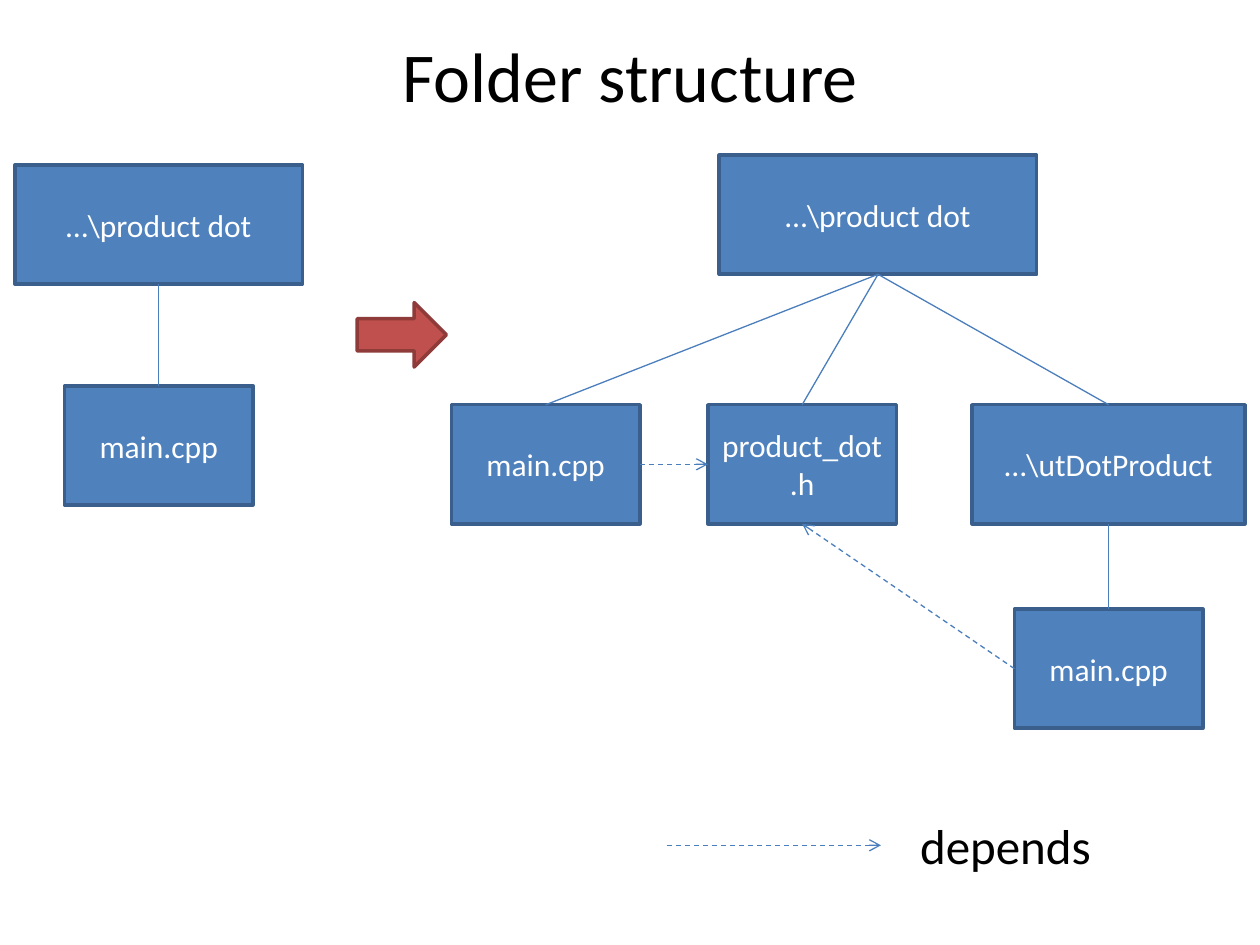
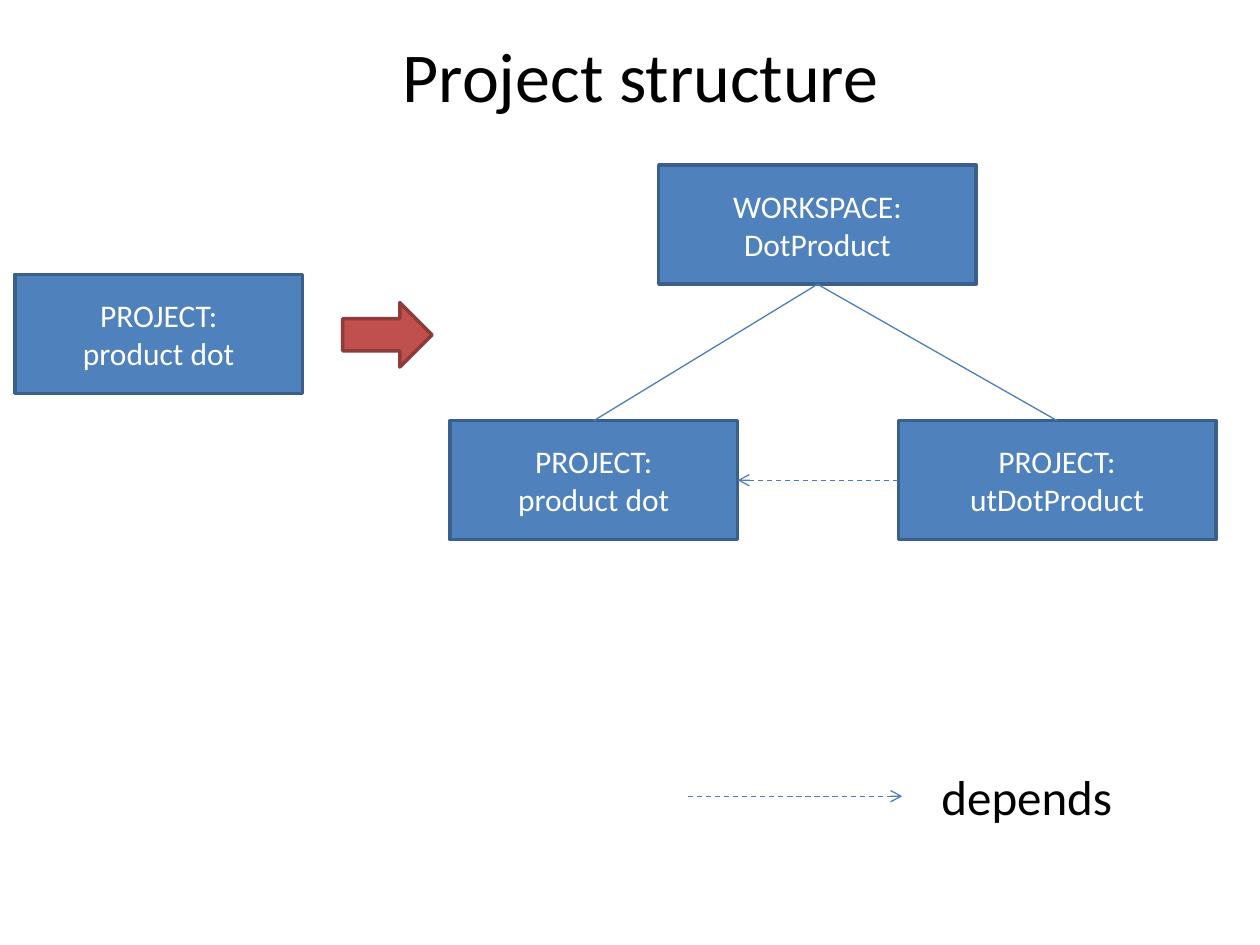
import dataclasses
import typing

import pptx
import pptx.dml.color
import pptx.enum.dml
import pptx.enum.shapes
import pptx.enum.text
import pptx.oxml
import pptx.oxml.ns
import pptx.shapes.autoshape
import pptx.shapes.connector
import pptx.slide
import pptx.util

Cm = pptx.util.Cm
Shape = pptx.shapes.autoshape.Shape
Kind = pptx.enum.shapes.MSO_SHAPE
Align = pptx.enum.text.PP_ALIGN


@dataclasses.dataclass(frozen=True)
class Theme:
    """Colours, font and sizes shared by the slides."""
    font: str = "Calibri"
    ink: str = "000000"
    pale: str = "FFFFFF"
    blue: str = "4F81BD"
    edge: str = "3A5F8C"
    link: str = "4B7EBC"
    red: str = "C0504D"
    rim: str = "8E3B39"
    title: float = 40
    label: float = 28
    body: float = 18
    frame: float = 2
    thin: float = 0.75


@dataclasses.dataclass(frozen=True)
class Box:
    """A labelled node, in centimetres; all nodes are equally high."""
    left: float
    top: float
    width: float
    lines: tuple[str, ...]


@dataclasses.dataclass(frozen=True)
class Link:
    """A line between two named boxes."""
    start: str
    end: str
    sides: tuple[int, int]
    needs: bool = False


@dataclasses.dataclass(frozen=True)
class Page:
    """All that one slide shows."""
    title: str
    width: float
    arrow: float
    key: tuple[float, float]
    boxes: dict[str, Box]
    links: tuple[Link, ...]


THEME = Theme()
HIGH = 2.4
SMALL, MID, WIDE = 3.8, 5.8, 6.4
TOP, LEFT, BASE, RIGHT = range(4)
DOWN = (BASE, TOP)
ROW = 8.16


def paint(hue: str) -> pptx.dml.color.RGBColor:
    """Turn a hex code into a colour."""
    return pptx.dml.color.RGBColor.from_string(hue)


def apply(item: typing.Any, form: dict[str, typing.Any]) -> None:
    """Set each format value on an object."""
    for name, value in form.items():
        setattr(item, name, value)


def write(shape: Shape, lines: tuple[str, ...], size: float, hue: str,
          align: Align) -> None:
    """Fill a shape with one paragraph per line."""
    frame = shape.text_frame
    frame.text = "\n".join(lines)
    for para in frame.paragraphs:
        para.alignment = align
        apply(para.runs[0].font,
              {"name": THEME.font, "size": pptx.util.Pt(size)})
        para.runs[0].font.color.rgb = paint(hue)


def add_form(slide: pptx.slide.Slide, kind: Kind, place: tuple[float, ...],
             fill: str, edge: str) -> Shape:
    """Draw a filled and outlined preset shape."""
    shape = slide.shapes.add_shape(kind, *map(Cm, place))
    shape.shadow.inherit = False
    shape.fill.solid()
    shape.fill.fore_color.rgb = paint(fill)
    shape.line.color.rgb = paint(edge)
    shape.line.width = pptx.util.Pt(THEME.frame)
    return shape


def add_box(slide: pptx.slide.Slide, box: Box) -> Shape:
    """Draw a node with its centred label."""
    place = (box.left, box.top, box.width, HIGH)
    shape = add_form(slide, Kind.RECTANGLE, place, THEME.blue, THEME.edge)
    apply(shape.text_frame, {
        "word_wrap": True,
        "vertical_anchor": pptx.enum.text.MSO_ANCHOR.MIDDLE,
    })
    write(shape, box.lines, THEME.body, THEME.pale, Align.CENTER)
    return shape


def add_text(slide: pptx.slide.Slide, place: tuple[float, ...], text: str,
             size: float) -> None:
    """Draw a line of free text."""
    shape = slide.shapes.add_textbox(*map(Cm, place))
    apply(shape.text_frame, {
        "word_wrap": False,
        "auto_size": pptx.enum.text.MSO_AUTO_SIZE.SHAPE_TO_FIT_TEXT,
    })
    write(shape, (text,), size, THEME.ink, Align.LEFT)


def add_line(slide: pptx.slide.Slide, ends: tuple[float, ...],
             needs: bool) -> pptx.shapes.connector.Connector:
    """Draw a plain line, or a dashed arrow for a dependency."""
    line = slide.shapes.add_connector(
        pptx.enum.shapes.MSO_CONNECTOR.STRAIGHT, *map(Cm, ends))
    line.line.color.rgb = paint(THEME.link)
    line.line.width = pptx.util.Pt(THEME.thin)
    props = line._element.spPr
    if needs:
        line.line.dash_style = pptx.enum.dml.MSO_LINE.DASH
        tip = pptx.oxml.parse_xml(
            f'<a:tailEnd {pptx.oxml.ns.nsdecls("a")} type="arrow"/>')
        props.find(pptx.oxml.ns.qn("a:ln")).append(tip)
    props.append(pptx.oxml.parse_xml(
        f'<a:effectLst {pptx.oxml.ns.nsdecls("a")}/>'))
    return line


def add_page(deck: typing.Any, page: Page) -> None:
    """Build one slide: title, boxes, links, arrow and key."""
    slide = deck.slides.add_slide(deck.slide_layouts[6])
    add_text(slide, (7.87, 0.53, page.width, 1.96), page.title, THEME.title)
    nodes = {name: add_box(slide, box) for name, box in page.boxes.items()}
    for link in page.links:
        line = add_line(slide, (0, 0, 1, 1), link.needs)
        line.begin_connect(nodes[link.start], link.sides[0])
        line.end_connect(nodes[link.end], link.sides[1])
    add_form(slide, Kind.RIGHT_ARROW, (page.arrow, 6.1, 1.8, 1.3),
             THEME.red, THEME.rim)
    left, mid = page.key
    add_line(slide, (left, mid, left + 4.32, mid), True)
    add_text(slide, (left + 4.86, mid - 0.73, 3.99, 1.45), "depends",
             THEME.label)


PAGES = (
    Page(
        "Folder structure", 9.78, 7.2, (13.44, 17.04),
        {
            "old": Box(0.3, 3.33, MID, ("…\\product dot",)),
            "old main": Box(1.3, 7.78, SMALL, ("main.cpp",)),
            "root": Box(14.5, 3.13, WIDE, ("…\\product dot",)),
            "main": Box(9.1, ROW, SMALL, ("main.cpp",)),
            "head": Box(14.27, ROW, SMALL, ("product_dot.h",)),
            "test": Box(19.6, ROW, 5.5, ("…\\utDotProduct",)),
            "test main": Box(20.45, 12.28, SMALL, ("main.cpp",)),
        },
        (
            Link("old", "old main", DOWN),
            *(Link("root", name, DOWN) for name in ("main", "head", "test")),
            Link("test", "test main", DOWN),
            Link("test main", "head", (LEFT, BASE), True),
            Link("main", "head", (RIGHT, LEFT), True),
        ),
    ),
    Page(
        "Project structure", 10.21, 6.91, (13.87, 16.05),
        {
            "old": Box(0.3, 5.53, MID, ("PROJECT:", "product dot")),
            "root": Box(13.28, 3.33, WIDE, ("WORKSPACE:", "DotProduct")),
            "main": Box(9.07, 8.48, MID, ("PROJECT:", "product dot")),
            "test": Box(18.11, 8.48, WIDE, ("PROJECT:", "utDotProduct")),
        },
        (
            *(Link("root", name, DOWN) for name in ("main", "test")),
            Link("test", "main", (LEFT, RIGHT), True),
        ),
    ),
)

deck = pptx.Presentation()
apply(deck, {"slide_width": Cm(25.4), "slide_height": Cm(19.05)})
for page in PAGES:
    add_page(deck, page)
deck.save("out.pptx")
